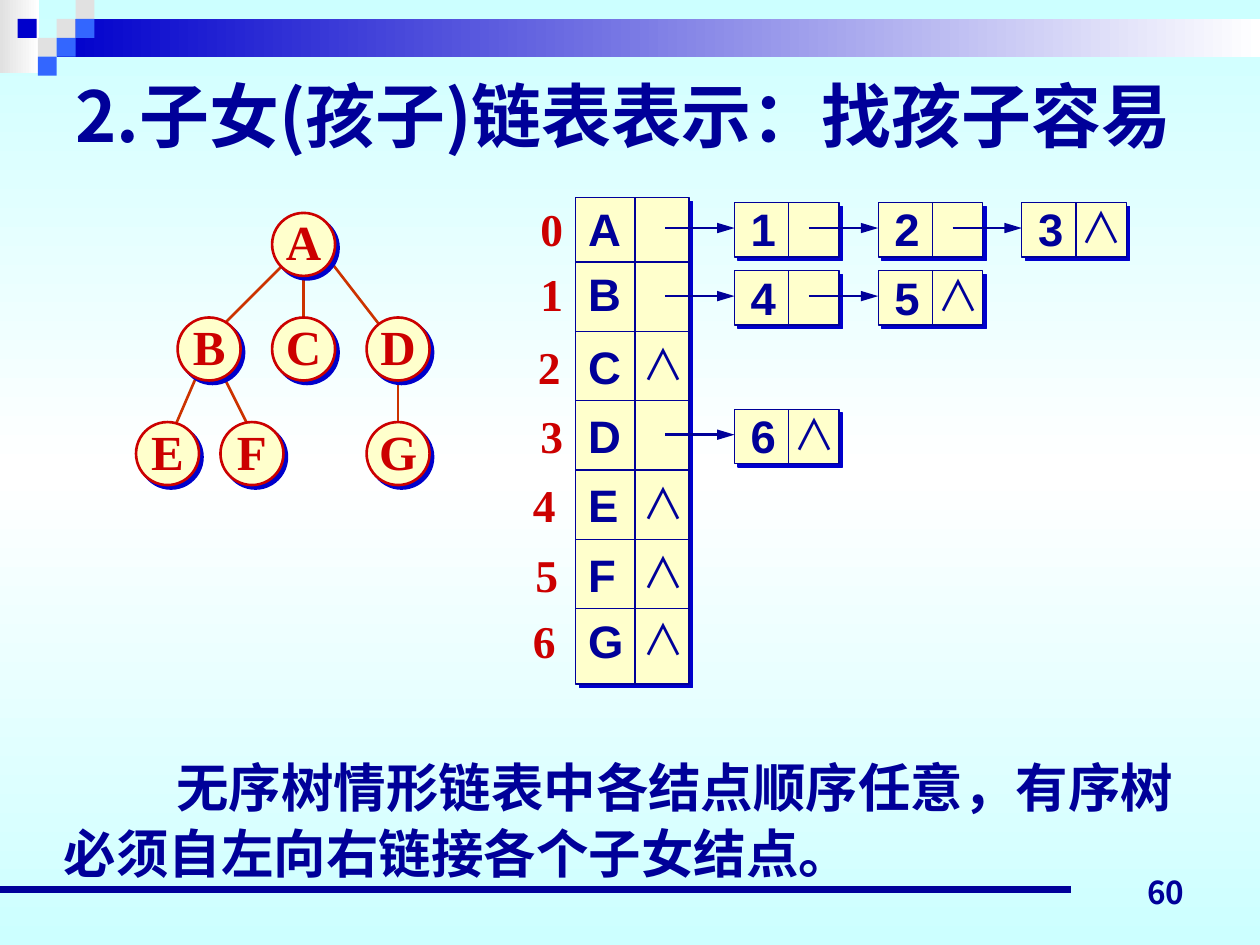
import pptx
import pptx.util
import pptx.dml.color
import pptx.enum.shapes
import pptx.enum.text
import pptx.oxml.ns
import lxml.etree
from dataclasses import dataclass

Inches, Pt = pptx.util.Inches, pptx.util.Pt
qn = pptx.oxml.ns.qn
SHAPES = pptx.enum.shapes.MSO_SHAPE
ALIGN = pptx.enum.text.PP_ALIGN
ANCHOR = pptx.enum.text.MSO_ANCHOR


@dataclass(frozen=True)
class Theme:
    navy: str = "000099"
    blue: str = "0000CC"
    bright: str = "3366FF"
    grey: str = "E1E1E1"
    white: str = "FFFFFF"
    cyan: str = "CCFFFF"
    cream: str = "FFFFCC"
    red: str = "CC0000"
    edge: str = "CC3300"
    heading: str = "Noto Sans CJK JP"
    sans: str = "Arial"
    serif: str = "Times New Roman"
    symbol: str = "Noto Sans CJK SC"
    title_size: int = 40
    body_size: int = 30
    node_size: int = 28
    cell_size: int = 26
    null_size: int = 24
    number_size: int = 18


THEME = Theme()
TITLE = "2.子女(孩子)链表表示：找孩子容易"
BODY = "无序树情形链表中各结点顺序任意，有序树必须自左向右链接各个子女结点。"
PAGE_NUMBER = "60"
NULL = "∧"

BANDS = [  # left, top, width, height, start colour, end colour
    (0, 0, 0.31, 0.58, THEME.grey, THEME.white),
    (0.45, 0.15, 9.55, 0.3, THEME.blue, THEME.white),
]
SQUARE = 0.15
SQUARES = [
    (0.45, 0.15, THEME.grey), (0.6, 0, THEME.grey), (0.6, 0.15, THEME.bright),
    (0.3, 0.3, THEME.grey), (0.14, 0.15, THEME.blue),
    (0.45, 0.3, THEME.bright), (0.3, 0.45, THEME.bright),
]

NODE = 0.5
TREE_NODES = {
    "A": (2.16, 1.69), "B": (1.41, 2.52), "C": (2.16, 2.52), "D": (2.91, 2.52),
    "E": (1.08, 3.35), "F": (1.75, 3.35), "G": (2.91, 3.35),
}
TREE_EDGES = [
    (3.16, 2.94, 3.16, 3.52), (2.58, 2.02, 3.16, 2.77), (1.75, 2.94, 2, 3.44),
    (1.58, 2.94, 1.33, 3.52), (2.25, 2.1, 1.75, 2.6), (2.41, 2.1, 2.41, 2.6),
]

# letter, top of its label, left of its index, children, top of the first child box
ROWS = [
    ("A", 1.55, 4.19, "123", 1.61), ("B", 2.06, 4.19, "45", 2.15),
    ("C", 2.64, 4.17, "", None), ("D", 3.19, 4.19, "6", 3.25),
    ("E", 3.74, 4.13, "", None), ("F", 4.29, 4.15, "", None),
    ("G", 4.82, 4.13, "", None),
]
ARRAY_LEFT, ARRAY_TOP, ARRAY_WIDTH, ARRAY_HEIGHT = 4.57, 1.57, 0.9, 3.86
ARRAY_DIVIDER = 5.04
FIRST_RULE, ROW_PITCH = 2.08, 0.55
CHAIN_LEFT, CHAIN_PITCH, BOX_WIDTH, BOX_HEIGHT = 5.83, 1.14, 0.83, 0.43
ARROW_LENGTH = 0.55


def color(code):
    return pptx.dml.color.RGBColor.from_string(code)


def add_element(parent, tag, **attributes):
    return lxml.etree.SubElement(parent, qn(tag), attributes)


def set_gradient(fill, codes, angle):
    """Spread the colours evenly along a linear gradient."""
    fill.gradient()
    fill.gradient_angle = angle
    stops = fill.gradient_stops[0]._gs.getparent()
    for stop in list(stops):
        stops.remove(stop)
    for index, code in enumerate(codes):
        position = str(100000 * index // (len(codes) - 1))
        add_element(add_element(stops, "a:gs", pos=position), "a:srgbClr", val=code)


def add_box(slide, kind, left, top, width, height, fill, line=None, weight=0.75):
    """Add a filled shape; an outlined one also gets the hard offset shadow."""
    shape = slide.shapes.add_shape(
        kind, Inches(left), Inches(top), Inches(width), Inches(height))
    if isinstance(fill, str):
        shape.fill.solid()
        shape.fill.fore_color.rgb = color(fill)
    else:
        set_gradient(shape.fill, fill, 0)
    if line:
        shape.line.color.rgb = color(line)
        shape.line.width = Pt(weight)
    else:
        shape.line.fill.background()
    shape.shadow.inherit = False
    if line:
        effects = shape._element.spPr.find(qn("a:effectLst"))
        shadow = add_element(effects, "a:outerShdw", dist=str(Pt(2.8)),
                             dir="2700000", algn="ctr", rotWithShape="0")
        add_element(shadow, "a:srgbClr", val=THEME.blue)
    return shape


def add_line(slide, points, code, weight, arrow=False):
    line = slide.shapes.add_connector(
        pptx.enum.shapes.MSO_CONNECTOR.STRAIGHT, *(Inches(value) for value in points))
    line.line.color.rgb = color(code)
    line.line.width = Pt(weight)
    if arrow:
        add_element(line.line._get_or_add_ln(), "a:tailEnd",
                    type="triangle", w="med", len="lg")
    add_element(line._element.spPr, "a:effectLst")


def write(frame, text, size, font, code, bold=True, align=ALIGN.LEFT):
    paragraph = frame.paragraphs[0]
    paragraph.text = text
    paragraph.alignment = align
    paragraph.font.size = Pt(size)
    paragraph.font.bold = bold
    paragraph.font.name = font
    paragraph.font.color.rgb = color(code)
    add_element(paragraph._p.pPr.find(qn("a:defRPr")), "a:ea", typeface=font)
    return paragraph


def add_text(slide, place, text, size, font, code=THEME.navy, anchor=ANCHOR.TOP,
             wrap=True, **style):
    box = slide.shapes.add_textbox(*(Inches(value) for value in place))
    frame = box.text_frame
    frame.word_wrap = wrap
    frame.vertical_anchor = anchor
    if not wrap:
        frame.auto_size = pptx.enum.text.MSO_AUTO_SIZE.SHAPE_TO_FIT_TEXT
    return write(frame, text, size, font, code, **style)


def add_label(slide, left, top, width, text, font=THEME.sans, code=THEME.navy):
    add_text(slide, (left, top, width, 0.53), text, THEME.cell_size, font, code, wrap=False)


def add_null(slide, left, top):
    add_text(slide, (left, top, 0.53, 0.5), NULL, THEME.null_size, THEME.symbol,
             wrap=False, bold=False)


def draw_frame(slide):
    set_gradient(slide.background.fill, [THEME.cyan, THEME.white, THEME.cyan], 270)
    for left, top, width, height, start, end in BANDS:
        add_box(slide, SHAPES.RECTANGLE, left, top, width, height, [start, end])
    for left, top, code in SQUARES:
        add_box(slide, SHAPES.RECTANGLE, left, top, SQUARE, SQUARE, code)
    add_line(slide, (0, 7.06, 8.5, 7.06), THEME.navy, 4.5)
    add_text(slide, (7.17, 6.78, 2.33, 0.5), PAGE_NUMBER, THEME.number_size,
             THEME.heading, anchor=ANCHOR.BOTTOM, align=ALIGN.RIGHT)
    title = add_text(slide, (0.5, 0.5, 9.3, 0.93), TITLE, THEME.title_size,
                     THEME.heading, anchor=ANCHOR.MIDDLE)
    title.line_spacing = 0.82
    body = add_text(slide, (0.41, 5.92, 9.06, 1.3), BODY, THEME.body_size, THEME.sans)
    body.line_spacing = 1.05
    body._p.pPr.set("marL", "0")
    body._p.pPr.set("indent", str(Inches(0.89)))


def draw_tree(slide):
    for points in TREE_EDGES:
        add_line(slide, points, THEME.edge, 1.5)
    for letter, (left, top) in TREE_NODES.items():
        node = add_box(slide, SHAPES.OVAL, left, top, NODE, NODE, THEME.cream, THEME.red, 1.5)
        frame = node.text_frame
        frame.margin_left = frame.margin_right = frame.margin_top = 0
        frame.margin_bottom = Inches(0.05)
        frame.word_wrap = False
        frame.vertical_anchor = ANCHOR.MIDDLE
        write(frame, letter, THEME.node_size, THEME.serif, THEME.red, align=ALIGN.CENTER)


def draw_chain(slide, children, top):
    for position, child in enumerate(children):
        left = CHAIN_LEFT + position * CHAIN_PITCH
        add_box(slide, SHAPES.RECTANGLE, left, top, BOX_WIDTH, BOX_HEIGHT,
                THEME.cream, THEME.navy)
        add_line(slide, (left + 0.43, top, left + 0.43, top + BOX_HEIGHT), THEME.navy, 0.75)
        add_label(slide, left + 0.03, top - 0.06, 0.4, child)
    add_null(slide, left + 0.37, top - 0.06)
    for position in range(len(children)):
        left = CHAIN_LEFT + position * CHAIN_PITCH
        add_line(slide, (left - ARROW_LENGTH, top + 0.2, left, top + 0.2),
                 THEME.navy, 1.5, arrow=True)


def draw_lists(slide):
    add_box(slide, SHAPES.RECTANGLE, ARRAY_LEFT, ARRAY_TOP, ARRAY_WIDTH, ARRAY_HEIGHT,
            THEME.cream, THEME.navy)
    for index in range(len(ROWS) - 1):
        y = FIRST_RULE + index * ROW_PITCH
        add_line(slide, (ARRAY_LEFT, y, ARRAY_LEFT + ARRAY_WIDTH, y), THEME.navy, 0.75)
    add_line(slide, (ARRAY_DIVIDER, ARRAY_TOP, ARRAY_DIVIDER, ARRAY_TOP + ARRAY_HEIGHT),
             THEME.navy, 0.75)
    for index, (letter, top, index_left, children, chain_top) in enumerate(ROWS):
        add_label(slide, index_left, top, 0.38, str(index), THEME.serif, THEME.red)
        add_label(slide, ARRAY_LEFT, top, 0.46, letter)
        if children:
            draw_chain(slide, children, chain_top)
        else:
            add_null(slide, 5, top)


def main():
    presentation = pptx.Presentation()
    presentation.slide_width, presentation.slide_height = Inches(10), Inches(7.5)
    slide = presentation.slides.add_slide(presentation.slide_layouts[6])
    draw_frame(slide)
    draw_tree(slide)
    draw_lists(slide)
    presentation.save("out.pptx")


if __name__ == "__main__":
    main()
